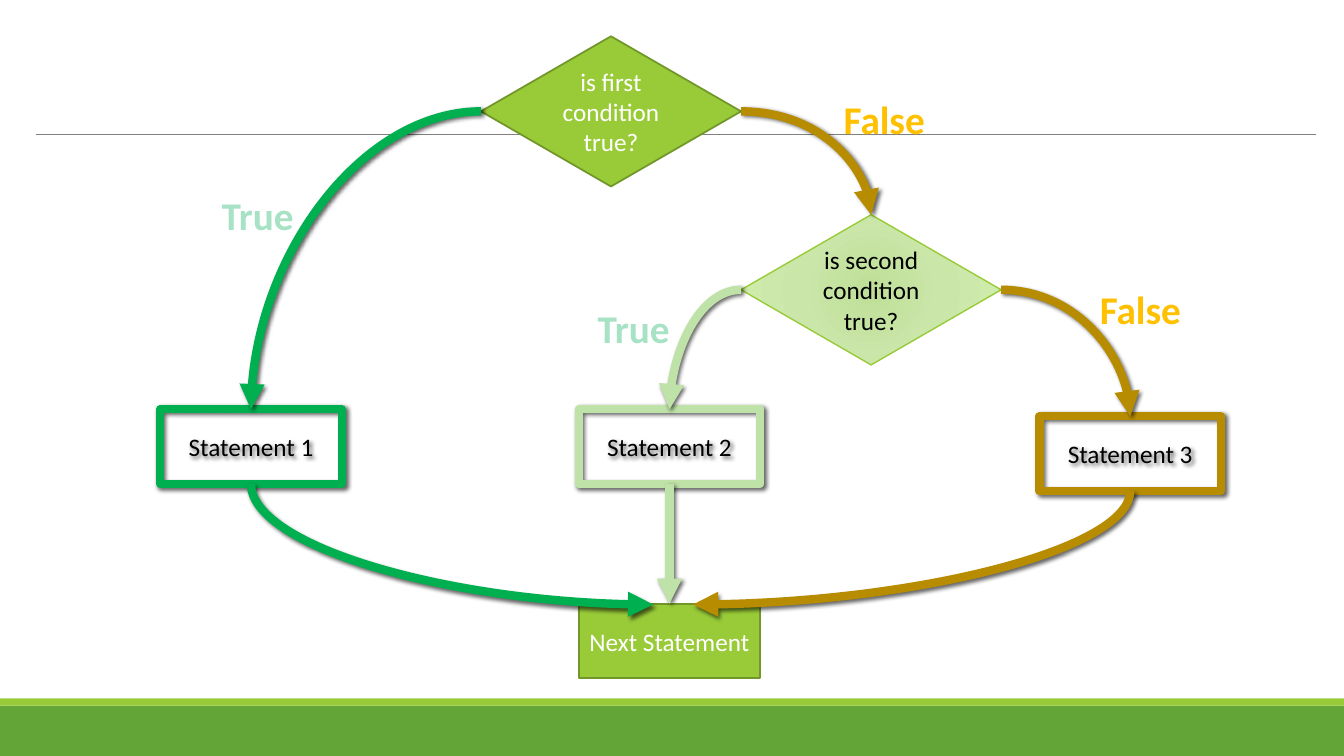
import dataclasses

import lxml.etree
import pptx
import pptx.dml.color
import pptx.enum.shapes
import pptx.enum.text
import pptx.oxml
import pptx.oxml.ns
import pptx.util

Inches = pptx.util.Inches
Pt = pptx.util.Pt
SHAPE = pptx.enum.shapes.MSO_SHAPE
CONNECTOR = pptx.enum.shapes.MSO_CONNECTOR
qn = pptx.oxml.ns.qn

FONT = "Calibri"
COLORS = {
    "band": "63A537", "lime": "99CB38", "lime_edge": "719629", "rule": "808080",
    "first": "00B050", "second": "BFE2A8", "third": "B88C00",
    "true": "A8E2C5", "false": "FFC000",
    "white": "FFFFFF", "black": "000000",
}
SECOND_CONDITION_STOPS = [(0, "BEDF97"), (45, "CAE6A9"), (100, "D0EDAE")]


@dataclasses.dataclass
class Box:
    left: float
    top: float
    width: float
    height: float

    def inner(self, left, top, width, height):
        return Box(self.left + left, self.top + top, width, height)

    def point(self, across, down):
        return self.left + self.width * across, self.top + self.height * down


def rgb(name):
    return pptx.dml.color.RGBColor.from_string(COLORS[name])


def add_shadow(shape):
    properties = shape._element.spPr
    for old in properties.findall(qn("a:effectLst")):
        properties.remove(old)
    effects = lxml.etree.SubElement(properties, qn("a:effectLst"))
    shadow = lxml.etree.SubElement(effects, qn("a:outerShdw"), blurRad=str(Pt(3)),
                                   dist=str(Pt(2)), dir="2700000", algn="tl", rotWithShape="0")
    color = lxml.etree.SubElement(shadow, qn("a:srgbClr"), val=COLORS["black"])
    lxml.etree.SubElement(color, qn("a:alpha"), val="60000")


def set_radial_fill(shape, stops):
    shape.fill.background()
    properties = shape._element.spPr
    gradient = lxml.etree.Element(qn("a:gradFill"), rotWithShape="1")
    stop_list = lxml.etree.SubElement(gradient, qn("a:gsLst"))
    for percent, color in stops:
        stop = lxml.etree.SubElement(stop_list, qn("a:gs"), pos=str(percent * 1000))
        lxml.etree.SubElement(stop, qn("a:srgbClr"), val=color)
    path = lxml.etree.SubElement(gradient, qn("a:path"), path="circle")
    lxml.etree.SubElement(path, qn("a:fillToRect"), l="100000", t="100000", r="100000", b="100000")
    properties.replace(properties.find(qn("a:noFill")), gradient)


def add_block(slide, kind, box, fill=None, line=None, line_width=1.25):
    shape = slide.shapes.add_shape(kind, Inches(box.left), Inches(box.top),
                                   Inches(box.width), Inches(box.height))
    shape.shadow.inherit = False
    if fill:
        shape.fill.solid()
        shape.fill.fore_color.rgb = rgb(fill)
    else:
        shape.fill.background()
    if line:
        shape.line.color.rgb = rgb(line)
        shape.line.width = Pt(line_width)
    else:
        shape.line.fill.background()
    return shape


def write(shape, lines, color, size=18, bold=False):
    frame = shape.text_frame
    for index, text in enumerate(lines):
        paragraph = frame.add_paragraph() if index else frame.paragraphs[0]
        paragraph.alignment = pptx.enum.text.PP_ALIGN.CENTER
        run = paragraph.add_run()
        run.text = text
        run.font.name = FONT
        run.font.size = Pt(size)
        run.font.bold = bold
        run.font.color.rgb = rgb(color)


def add_line(slide, kind, start, end, color, width):
    connector = slide.shapes.add_connector(kind, *(Inches(value) for value in (*start, *end)))
    connector.line.color.rgb = rgb(color)
    connector.line.width = Pt(width)
    lxml.etree.SubElement(connector._element.spPr, qn("a:effectLst"))
    return connector


def add_arrow(slide, start, end, color, kind=CONNECTOR.CURVE, leaves_down=False):
    if leaves_down:
        # A quarter turn about the centre makes the curve start vertically
        center_x, center_y = (start[0] + end[0]) / 2, (start[1] + end[1]) / 2
        half_x, half_y = (end[0] - start[0]) / 2, (end[1] - start[1]) / 2
        start = center_x - half_y, center_y + half_x
        end = center_x + half_y, center_y - half_x
    connector = add_line(slide, kind, start, end, color, 6)
    properties = connector._element.spPr
    if leaves_down:
        properties.find(qn("a:xfrm")).set("rot", "5400000")
    if kind == CONNECTOR.CURVE:
        properties.find(qn("a:prstGeom")).set("prst", "curvedConnector2")
    lxml.etree.SubElement(properties.find(qn("a:ln")), qn("a:tailEnd"), type="triangle")
    add_shadow(connector)


def draw_background(slide, box):
    add_block(slide, SHAPE.RECTANGLE, box.inner(0, 7, box.width, 0.5), "band")
    add_block(slide, SHAPE.RECTANGLE, box.inner(0, 6.93, box.width, 0.07), "lime")
    rule = box.inner(0.36, 1.33, 12.69, 0)
    add_line(slide, CONNECTOR.STRAIGHT, rule.point(0, 0), rule.point(1, 0), "rule", 0.5)


def draw_flowchart(slide, box):
    # Conditions
    first = box.inner(3.18, 0, 2.58, 1.49)
    second = box.inner(5.76, 1.77, 2.58, 1.49)
    shape = add_block(slide, SHAPE.DIAMOND, first, "lime", "lime_edge")
    write(shape, ["is first condition", "true?"], "white")
    shape = add_block(slide, SHAPE.DIAMOND, second, line="lime", line_width=1)
    set_radial_fill(shape, SECOND_CONDITION_STOPS)
    write(shape, ["is second condition", "true?"], "black")

    # Statements
    statements = []
    for number, (left, top, color) in enumerate(
            [(0, 3.7, "first"), (4.15, 3.7, "second"), (8.72, 3.77, "third")], 1):
        statement = box.inner(left, top, 1.8, 0.74)
        shape = add_block(slide, SHAPE.RECTANGLE, statement, line=color, line_width=6)
        add_shadow(shape)
        write(shape, [f"Statement {number}"], "black")
        statements.append(statement)
    following = box.inner(4.15, 5.63, 1.8, 0.74)
    shape = add_block(slide, SHAPE.RECTANGLE, following, "lime", "lime_edge")
    write(shape, ["Next Statement"], "white")

    # Branches out of the conditions
    for condition, side, target, color in [
            (first, 0, statements[0], "first"), (first, 1, second, "third"),
            (second, 0, statements[1], "second"), (second, 1, statements[2], "third")]:
        add_arrow(slide, condition.point(side, 0.5), target.point(0.5, 0), color)

    # Paths that meet at the next statement
    for statement, across, color in [(statements[0], 0.41, "first"), (statements[2], 0.63, "third")]:
        add_arrow(slide, statement.point(0.5, 1), following.point(across, 0.01), color,
                  leaves_down=True)
    add_arrow(slide, statements[1].point(0.5, 1), following.point(0.5, 0), "second",
              CONNECTOR.STRAIGHT)

    # Branch labels
    for text, left, top, width in [("True", 0.5, 1.49, 0.93), ("False", 6.67, 0.54, 1.02),
                                   ("False", 9.21, 2.42, 1.02), ("True", 4.23, 2.61, 0.93)]:
        label = box.inner(left, top, width, 0.57)
        textbox = slide.shapes.add_textbox(Inches(label.left), Inches(label.top),
                                           Inches(label.width), Inches(label.height))
        textbox.text_frame.word_wrap = False
        write(textbox, [text], text.lower(), 28, True)


def main():
    presentation = pptx.Presentation()
    presentation.slide_width = Inches(13.33)
    presentation.slide_height = Inches(7.5)
    slide = presentation.slides.add_slide(presentation.slide_layouts[6])
    draw_background(slide, Box(0, 0, 13.33, 7.5))
    draw_flowchart(slide, Box(1.59, 0.36, 10.52, 6.37))
    presentation.save("out.pptx")


if __name__ == "__main__":
    main()
